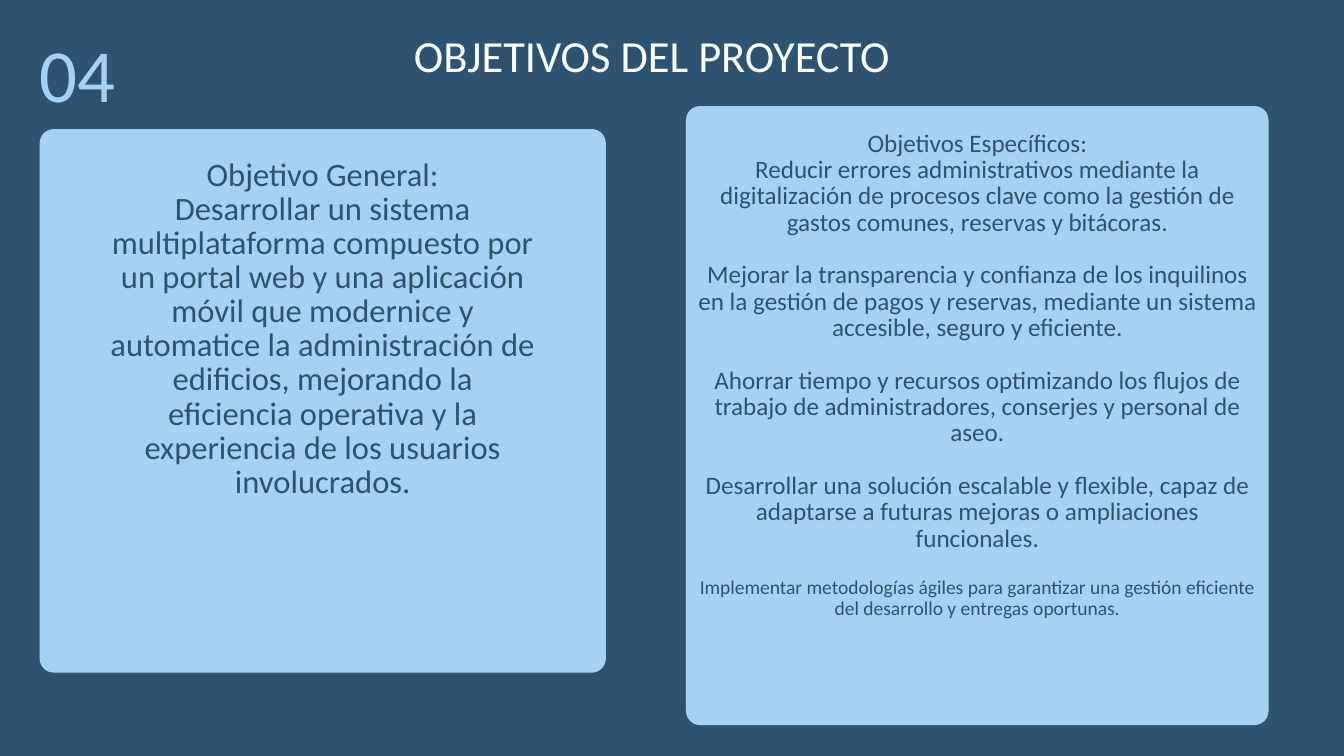
from pptx import Presentation
from pptx import util as u
from pptx.dml.color import RGBColor
from pptx.enum import shapes, text

NAVY = RGBColor(0x2C, 0x53, 0x71)
SKY = RGBColor(0xA8, 0xD0, 0xF0)
WHITE = RGBColor(0xFF, 0xFF, 0xFF)
CORNER = 0.53

GENERAL_GOAL = (
    "Desarrollar un sistema multiplataforma compuesto por un portal web y una "
    "aplicación móvil que modernice y automatice la administración de edificios, "
    "mejorando la eficiencia operativa y la experiencia de los usuarios involucrados."
)
SPECIFIC_GOALS = [
    "Reducir errores administrativos mediante la digitalización de procesos clave "
    "como la gestión de gastos comunes, reservas y bitácoras.",
    "Mejorar la transparencia y confianza de los inquilinos en la gestión de pagos "
    "y reservas, mediante un sistema accesible, seguro y eficiente.",
    "Ahorrar tiempo y recursos optimizando los flujos de trabajo de "
    "administradores, conserjes y personal de aseo.",
    "Desarrollar una solución escalable y flexible, capaz de adaptarse a futuras "
    "mejoras o ampliaciones funcionales.",
]
LAST_GOAL = (
    "Implementar metodologías ágiles para garantizar una gestión eficiente del "
    "desarrollo y entregas oportunas."
)


def add_copy(slide, box, lines, color, align=text.PP_ALIGN.CENTER):
    """Write lines of (wording, size, line spacing, space before), sizes in points."""
    frame = slide.shapes.add_textbox(*map(u.Cm, box)).text_frame
    margins = dict.fromkeys(
        ("margin_left", "margin_top", "margin_right", "margin_bottom"), 0)
    for name, value in {"word_wrap": True, **margins}.items():
        setattr(frame, name, value)
    for index, (wording, size, spacing, gap) in enumerate(lines):
        line = frame.add_paragraph() if index else frame.paragraphs[0]
        layout = {"alignment": align, "line_spacing": u.Pt(spacing),
                  "space_before": u.Pt(gap)}
        for name, value in layout.items():
            setattr(line, name, value)
        run = line.add_run()
        run.text = wording
        for name, value in {"name": "Calibri", "size": u.Pt(size)}.items():
            setattr(run.font, name, value)
        run.font.color.rgb = color


def add_card(slide, box, inset, lines):
    """Draw a rounded card; inset is the (x, y) distance from its edges to the text."""
    left, top, width, height = box
    card = slide.shapes.add_shape(
        shapes.MSO_SHAPE.ROUNDED_RECTANGLE, *map(u.Cm, box))
    card.adjustments[0] = CORNER / min(width, height)
    card.shadow.inherit = False
    card.fill.solid()
    card.fill.fore_color.rgb = SKY
    card.line.fill.background()
    x, y = inset
    add_copy(slide, (left + x, top + y, width - 2 * x, height - 2 * y), lines, NAVY)


def add_header(slide, box):
    left, top, width, height = box
    add_copy(slide, (left + 0.74, top + 0.17, 6.32, 3.07),
             [("04", 80.3, 84.3, 0)], SKY, text.PP_ALIGN.LEFT)
    add_copy(slide, (left, top, width, height),
             [("OBJETIVOS DEL PROYECTO", 47.6, 50, 0)], WHITE)


def add_general_goal(slide, box):
    add_card(slide, box, (2.54, 1.11),
             [(line, 34.9, 36.6, 0) for line in ("Objetivo General:", GENERAL_GOAL)])


def add_specific_goals(slide, box):
    size, spacing = 26.9, 28.2
    lines = [("Objetivos Específicos:", size, spacing, 0)]
    lines += [(goal, size, spacing, spacing if index else 0)
              for index, goal in enumerate(SPECIFIC_GOALS)]
    lines.append((LAST_GOAL, 20.9, 21.9, spacing))
    add_card(slide, box, (0.44, 0.94), lines)


def main():
    deck = Presentation()
    deck.slide_width, deck.slide_height = u.Cm(50.8), u.Cm(28.58)
    slide = deck.slides.add_slide(deck.slide_layouts[6])
    slide.background.fill.solid()
    slide.background.fill.fore_color.rgb = NAVY
    add_general_goal(slide, (1.5, 4.88, 21.4, 20.55))
    add_header(slide, (0.76, 1.3, 47.78, 1.85))
    add_specific_goals(slide, (25.93, 4.01, 22.02, 23.4))
    deck.save("out.pptx")


if __name__ == "__main__":
    main()
